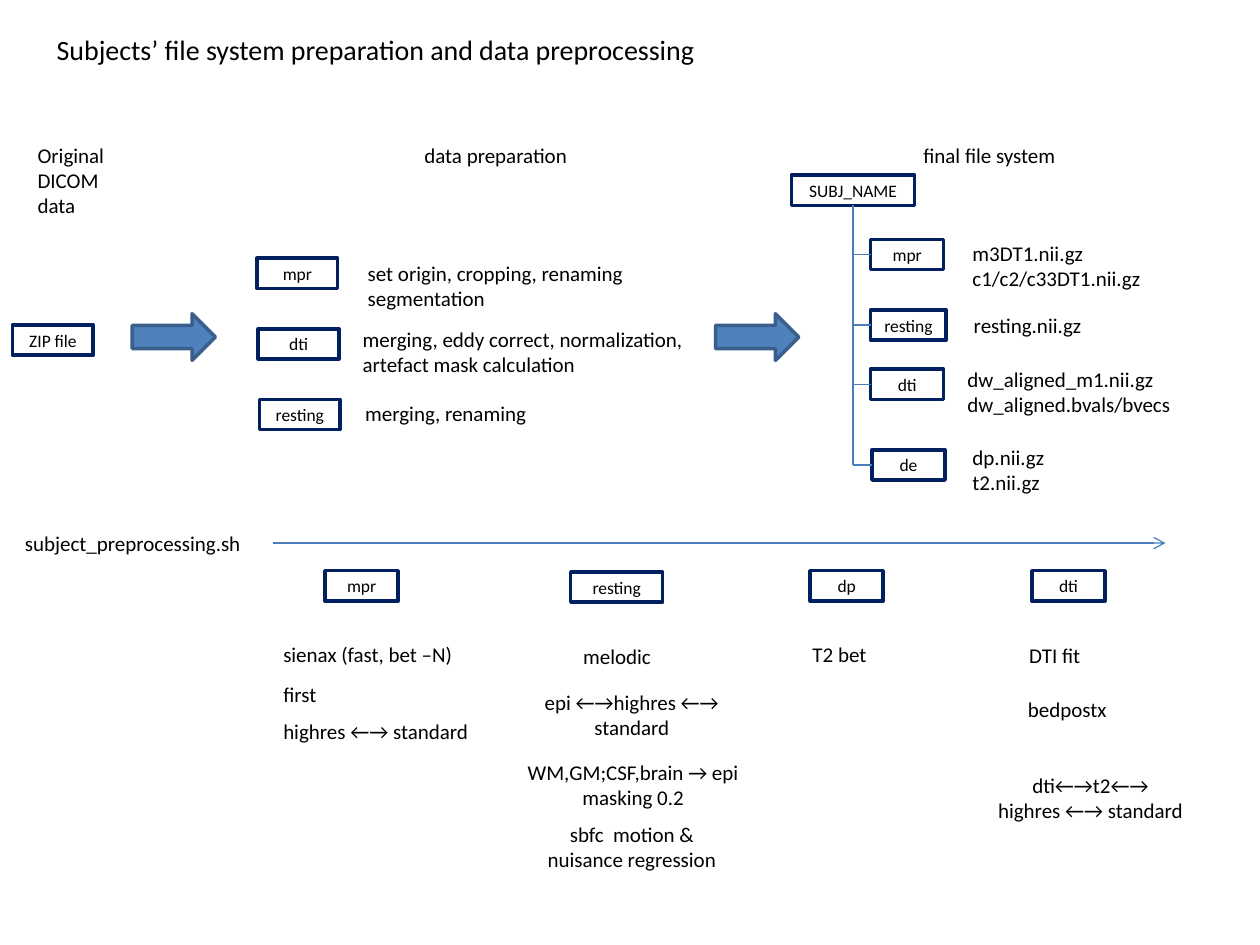
from dataclasses import dataclass

from lxml.etree import SubElement
from pptx import Presentation
from pptx.dml.color import RGBColor as RGB
from pptx.enum.shapes import MSO_CONNECTOR as LINE, MSO_SHAPE as SHAPE
from pptx.enum.text import MSO_ANCHOR as ANCHOR, PP_ALIGN as ALIGN
from pptx.oxml.ns import qn
from pptx.util import Inches, Pt


@dataclass(frozen=True)
class Theme:
    font: str = "Calibri"
    text: RGB = RGB(0, 0, 0)
    box_fill: RGB = RGB(255, 255, 255)
    box_line: RGB = RGB.from_string("002060")
    arrow_fill: RGB = RGB.from_string("4F81BD")
    arrow_line: RGB = RGB.from_string("3A5F8C")
    connector: RGB = RGB.from_string("4B7EBC")
    title_size: Pt = Pt(16)
    body_size: Pt = Pt(12)
    box_size: Pt = Pt(10)
    outline: Pt = Pt(2)
    thin: Pt = Pt(0.75)


theme = Theme()
BOX_HEIGHT = 0.24

prs = Presentation()
prs.slide_width, prs.slide_height = Inches(10), Inches(7.5)
slide = prs.slides.add_slide(prs.slide_layouts[5])  # Title Only
shapes = slide.shapes


def write(shape, lines, size, align=ALIGN.LEFT, anchor=ANCHOR.TOP):
    frame = shape.text_frame
    frame.word_wrap = True
    frame.vertical_anchor = anchor
    for i, line in enumerate(lines):
        paragraph = frame.add_paragraph() if i else frame.paragraphs[0]
        paragraph.alignment = align
        run = paragraph.add_run()
        run.text = line
        run.font.name, run.font.size = theme.font, size
        run.font.color.rgb = theme.text


def connect(x1, y1, x2, y2):
    line = shapes.add_connector(LINE.STRAIGHT, Inches(x1), Inches(y1), Inches(x2), Inches(y2))
    line.line.color.rgb, line.line.width = theme.connector, theme.thin
    SubElement(line._element.spPr, qn("a:effectLst"))
    return line


# Title
title = shapes.title
title.left, title.top = Inches(0.35), Inches(0.21)
title.width, title.height = Inches(6.65), Inches(0.37)
write(title, ["Subjects’ file system preparation and data preprocessing"], theme.title_size)

# Boxes: left, top, width, label
boxes = [
    (0.1, 2.58, 0.64, "ZIP file"),
    # data preparation
    (2.04, 2.05, 0.64, "mpr"),
    (2.05, 2.61, 0.64, "dti"),
    (2.06, 3.17, 0.64, "resting"),
    # final file system
    (6.28, 1.39, 0.98, "SUBJ_NAME"),
    (6.91, 1.9, 0.58, "mpr"),
    (6.91, 2.46, 0.6, "resting"),
    (6.91, 2.93, 0.58, "dti"),
    (6.92, 3.57, 0.58, "de"),
    # preprocessing
    (2.58, 4.53, 0.58, "mpr"),
    (4.53, 4.54, 0.73, "resting"),
    (6.43, 4.53, 0.58, "dp"),
    (8.19, 4.53, 0.58, "dti"),
]
for left, top, width, label in boxes:
    box = shapes.add_shape(SHAPE.RECTANGLE, Inches(left), Inches(top), Inches(width), Inches(BOX_HEIGHT))
    box.shadow.inherit = False
    box.fill.solid()
    box.fill.fore_color.rgb = theme.box_fill
    box.line.color.rgb, box.line.width = theme.box_line, theme.outline
    write(box, [label], theme.box_size, ALIGN.CENTER, ANCHOR.MIDDLE)

# Folder tree: one trunk with a branch to each folder
trunk_x, trunk_top = 6.77, 1.63
branches = [(6.91, 2.02), (6.91, 2.58), (6.91, 3.05), (6.92, 3.69)]
connect(trunk_x, trunk_top, trunk_x, branches[-1][1])
for folder_x, branch_y in branches:
    connect(trunk_x, branch_y, folder_x, branch_y)

# Block arrows between the stages
for left in (1.05, 5.68):
    stage_arrow = shapes.add_shape(SHAPE.RIGHT_ARROW, Inches(left), Inches(2.49), Inches(0.66), Inches(0.37))
    stage_arrow.shadow.inherit = False
    stage_arrow.fill.solid()
    stage_arrow.fill.fore_color.rgb = theme.arrow_fill
    stage_arrow.line.color.rgb, stage_arrow.line.width = theme.arrow_line, theme.outline

# Preprocessing timeline
timeline = connect(2.17, 4.31, 9.25, 4.31)
SubElement(timeline.line._get_or_add_ln(), qn("a:tailEnd"), type="arrow")

# Texts: left, top, width, height, alignment, lines
texts = [
    # stage headings
    (0.2, 1.08, 0.87, 0.71, ALIGN.LEFT, ["Original", "DICOM", "data"]),
    (3.27, 1.08, 1.47, 0.3, ALIGN.LEFT, ["data preparation"]),
    (7.23, 1.08, 1.47, 0.3, ALIGN.LEFT, ["final file system"]),
    # data preparation
    (2.82, 2.02, 2.45, 0.5, ALIGN.LEFT, ["set origin, cropping, renaming", "segmentation"]),
    (2.78, 2.54, 2.83, 0.5, ALIGN.LEFT, ["merging, eddy correct, normalization, artefact mask calculation"]),
    (2.8, 3.13, 2.54, 0.3, ALIGN.LEFT, ["merging, renaming"]),
    # final file system
    (7.62, 1.86, 1.73, 0.5, ALIGN.LEFT, ["m3DT1.nii.gz", "c1/c2/c33DT1.nii.gz"]),
    (7.63, 2.43, 1.73, 0.3, ALIGN.LEFT, ["resting.nii.gz"]),
    (7.58, 2.86, 1.91, 0.5, ALIGN.LEFT, ["dw_aligned_m1.nii.gz", "dw_aligned.bvals/bvecs"]),
    (7.62, 3.48, 1.73, 0.5, ALIGN.LEFT, ["dp.nii.gz", "t2.nii.gz"]),
    # preprocessing: script, then mpr, resting, dp and dti steps
    (0.1, 4.16, 1.93, 0.3, ALIGN.LEFT, ["subject_preprocessing.sh"]),
    (2.15, 5.04, 1.66, 0.3, ALIGN.LEFT, ["sienax (fast, bet –N)"]),
    (2.15, 5.36, 1.66, 0.3, ALIGN.LEFT, ["first"]),
    (2.15, 5.65, 1.83, 0.28, ALIGN.LEFT, ["highres ←→ standard"]),
    (4.53, 5.06, 0.77, 0.3, ALIGN.LEFT, ["melodic"]),
    (4.1, 5.42, 1.83, 0.5, ALIGN.CENTER, ["epi ←→highres ←→ standard"]),
    (4.02, 5.98, 2.01, 0.48, ALIGN.CENTER, ["WM,GM;CSF,brain → epi", "masking 0.2"]),
    (4.14, 6.47, 1.75, 0.5, ALIGN.CENTER, ["sbfc  motion & nuisance regression"]),
    (6.35, 5.04, 0.77, 0.3, ALIGN.LEFT, ["T2 bet"]),
    (8.07, 5.05, 0.77, 0.3, ALIGN.LEFT, ["DTI fit"]),
    (8.06, 5.48, 0.85, 0.34, ALIGN.LEFT, ["bedpostx"]),
    (7.74, 6.08, 1.83, 0.5, ALIGN.CENTER, ["dti←→t2←→", "highres ←→ standard"]),
]
for left, top, width, height, align, lines in texts:
    caption = shapes.add_textbox(Inches(left), Inches(top), Inches(width), Inches(height))
    write(caption, lines, theme.body_size, align)

prs.save("out.pptx")
